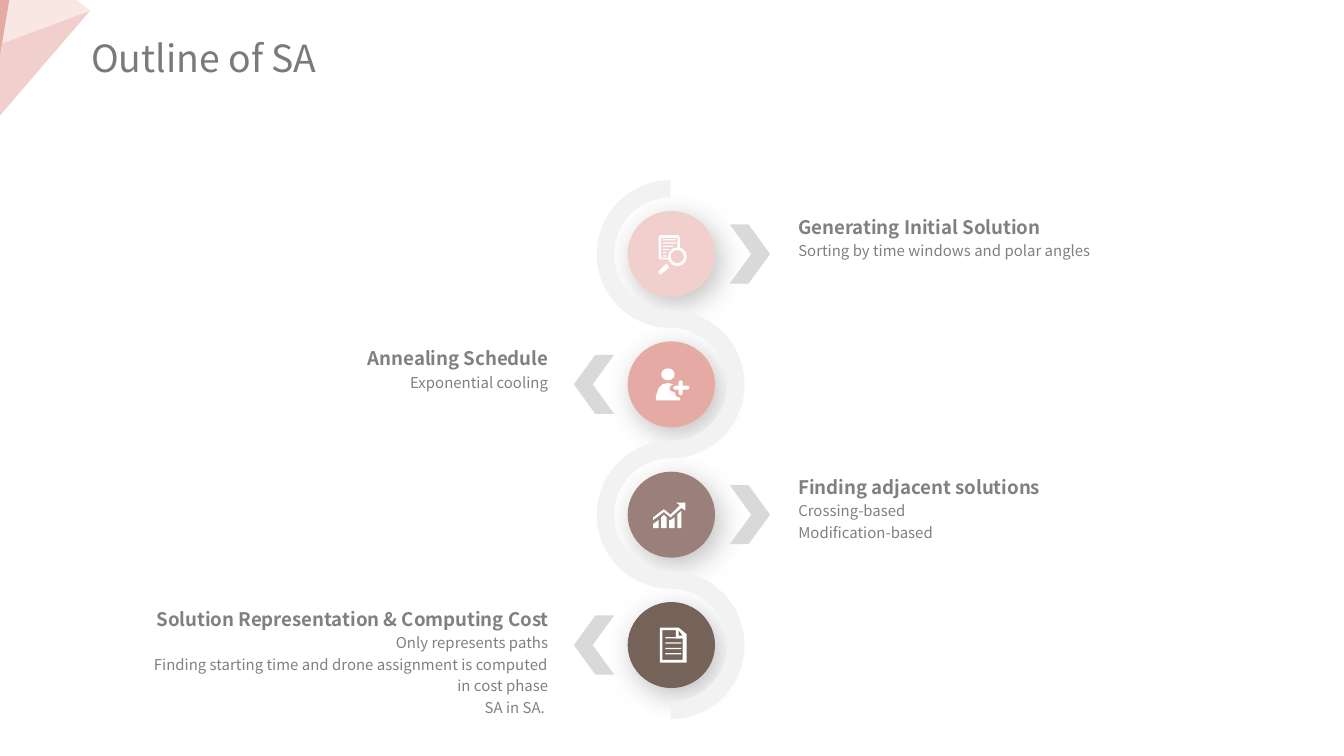
from math import cos, pi, sin

from lxml.etree import SubElement
from pptx import Presentation
from pptx.dml.color import RGBColor
from pptx.enum.shapes import MSO_SHAPE as Preset
from pptx.enum.text import MSO_AUTO_SIZE as AutoSize, PP_ALIGN as Align
from pptx.oxml.ns import qn
from pptx.util import Inches, Pt

FONT = "Noto Sans CJK SC"
WHITE = "FFFFFF"


def paint(shape, color):
    shape.fill.solid()
    shape.fill.fore_color.rgb = RGBColor.from_string(color)
    shape.line.fill.background()
    shape.shadow.inherit = False
    return shape


def draw_outline(shapes, color, *contours):
    """Draw one filled freeform made of closed contours given in inches."""
    contours = [[(Inches(x), Inches(y)) for x, y in contour] for contour in contours]
    builder = shapes.build_freeform(*contours[0][0])
    builder.add_line_segments(contours[0][1:])
    for contour in contours[1:]:
        builder.move_to(*contour[0])
        builder.add_line_segments(contour[1:])
    return paint(builder.convert_to_shape(), color)


# Slide in 16:9 format
presentation = Presentation()
presentation.slide_width = Inches(10)
presentation.slide_height = Inches(10 * 9 / 16)
slide = presentation.slides.add_slide(presentation.slide_layouts[6])
shapes = slide.shapes

# Steps, alternating right and left: circle colour, heading, details
steps = [
    ("F1CFCD", "Generating Initial Solution",
     ["Sorting by time windows and polar angles"]),
    ("E5AAA4", "Annealing Schedule", ["Exponential cooling"]),
    ("9B7F7B", "Finding adjacent solutions", ["Crossing-based", "Modification-based"]),
    ("756359", "Solution Representation & Computing Cost",
     ["Only represents paths",
      "Finding starting time and drone assignment is computed",
      "in cost phase", "SA in SA. "]),
]
centers = [1.89 + 0.97 * i for i in range(len(steps))]

# Circles with a soft shadow
for (color, heading, details), center in zip(steps, centers):
    circle = paint(shapes.add_shape(Preset.OVAL, Inches(4.67), Inches(center - 0.32),
                                    Inches(0.65), Inches(0.64)), color)
    effects = circle._element.spPr.find(qn("a:effectLst"))
    shadow = SubElement(effects, qn("a:outerShdw"), blurRad=str(Pt(15)),
                        dist=str(Pt(5)), dir=str(55 * 60000), algn="tl", rotWithShape="0")
    shadow_color = SubElement(shadow, qn("a:srgbClr"), val="333333")
    SubElement(shadow_color, qn("a:alpha"), val="30000")

# Winding band: both edges are half circles of alternating radius
edges = []
for radii in ((0.55, 0.42), (0.42, 0.55)):
    edge = []
    for i, center in enumerate(centers):
        side = 1 if i % 2 else -1
        for step in range(37):
            angle = pi * step / 36
            edge.append((4.99 + side * radii[i % 2] * sin(angle),
                         center - radii[i % 2] * cos(angle)))
    edges.append(edge)
draw_outline(shapes, "F2F2F2", edges[0] + edges[1][::-1])

# Chevrons and step texts
for i, ((color, heading, details), center) in enumerate(zip(steps, centers)):
    on_left = i % 2 == 1
    side = -1 if on_left else 1
    chevron = [(0.43, -0.22), (0.59, 0), (0.43, 0.22), (0.57, 0.22), (0.73, 0), (0.57, -0.22)]
    draw_outline(shapes, "D9D9D9", [(5 + side * x, center + y) for x, y in chevron])

    box = shapes.add_textbox(Inches(0.85 if on_left else 5.94),
                             Inches(center - (0.31 if on_left else 0.32)),
                             Inches(3.23), Inches(0.2 + 0.16 * len(details)))
    frame = box.text_frame
    frame.word_wrap = True
    frame.auto_size = AutoSize.SHAPE_TO_FIT_TEXT
    frame.margin_left = frame.margin_right = frame.margin_top = frame.margin_bottom = 0
    for j, line in enumerate([heading] + details):
        paragraph = frame.add_paragraph() if j else frame.paragraphs[0]
        paragraph.alignment = Align.RIGHT if on_left else Align.LEFT
        paragraph.line_spacing = 1.2
        run = paragraph.add_run()
        run.text = line
        run.font.name = FONT
        run.font.size = Pt(8 if j else 10)
        run.font.bold = j == 0
        run.font.color.rgb = RGBColor.from_string("808080")

# Icon 1: sheet with magnifier
icon = shapes.add_group_shape().shapes
draw_outline(icon, WHITE, [
    (4.98, 1.92), (4.92, 1.92), (4.92, 1.77), (5.04, 1.77), (5.04, 1.85), (5.06, 1.85),
    (5.06, 1.77), (5.05, 1.75), (4.91, 1.75), (4.9, 1.77), (4.9, 1.92), (4.91, 1.93),
    (4.98, 1.93)])
for i, width in enumerate([0.1, 0.1, 0.08, 0.05, 0.03, 0.03]):
    paint(icon.add_shape(Preset.RECTANGLE, Inches(4.93), Inches(1.78 + 0.12 * i / 5),
                         Inches(width), Inches(0.01)), WHITE)
lens = paint(icon.add_shape(Preset.DONUT, Inches(4.97), Inches(1.84),
                            Inches(0.14), Inches(0.14)), WHITE)
lens.adjustments[0] = 0.14
draw_outline(icon, WHITE, [(4.96, 1.96), (4.98, 1.99), (4.92, 2.04), (4.9, 2.04), (4.9, 2.02)])

# Icon 2: person with plus sign
icon = shapes.add_group_shape().shapes
paint(icon.add_shape(Preset.OVAL, Inches(4.92), Inches(2.74), Inches(0.1), Inches(0.09)), WHITE)
draw_outline(icon, WHITE, [
    (4.88, 2.98), (4.88, 2.95), (4.9, 2.89), (4.93, 2.86), (4.97, 2.85), (5.01, 2.86),
    (4.99, 2.87), (4.98, 2.89), (4.99, 2.91), (5.02, 2.92), (5.03, 2.95), (5.06, 2.96),
    (5.06, 2.98)])
for left, top, width, height in [(5.01, 2.87, 0.12, 0.03), (5.05, 2.83, 0.03, 0.11)]:
    bar = paint(icon.add_shape(Preset.ROUNDED_RECTANGLE, Inches(left), Inches(top),
                               Inches(width), Inches(height)), WHITE)
    bar.adjustments[0] = 0.5

# Icon 3: growth chart
icon = shapes.add_group_shape().shapes
draw_outline(
    icon, WHITE,
    [(4.86, 3.93), (4.9, 3.93), (4.9, 3.87), (4.86, 3.9)],
    [(4.92, 3.93), (4.96, 3.93), (4.96, 3.85), (4.94, 3.83), (4.92, 3.85)],
    [(4.98, 3.93), (5.02, 3.93), (5.02, 3.85), (4.99, 3.87), (4.98, 3.87)],
    [(5.04, 3.93), (5.07, 3.93), (5.07, 3.8), (5.04, 3.83)])
draw_outline(icon, WHITE, [
    (5.1, 3.74), (5.03, 3.74), (5.06, 3.76), (4.99, 3.83), (4.94, 3.79), (4.86, 3.85),
    (4.86, 3.87), (4.94, 3.81), (4.99, 3.85), (5.07, 3.78), (5.1, 3.8)])

# Icon 4: document
icon = shapes.add_group_shape().shapes
draw_outline(
    icon, WHITE,
    [(5.11, 4.72), (5.05, 4.67), (4.91, 4.67), (4.91, 4.93), (5.11, 4.93)],
    [(5.08, 4.73), (5.05, 4.73), (5.05, 4.69)],
    [(5.08, 4.91), (4.93, 4.91), (4.93, 4.69), (5.03, 4.69), (5.03, 4.75), (5.08, 4.75)])
for i in range(4):
    paint(icon.add_shape(Preset.RECTANGLE, Inches(4.95), Inches(4.74 + 0.04 * i),
                         Inches(0.12), Inches(0.01)), WHITE)

# Corner facets
corner = shapes.add_group_shape().shapes
draw_outline(corner, "F1CFCD", [(0.67, 0.08), (0.02, 0.32), (0, 0.42), (0, 0.86)])
draw_outline(corner, "F9E7E3", [(0.67, 0.08), (0.57, 0), (0.07, 0), (0.02, 0.32)])
draw_outline(corner, "E5AAA4", [(0.07, 0), (0, 0), (0, 0.42)])

# Title
title = shapes.add_textbox(Inches(0.58), Inches(0.21), Inches(1.88), Inches(0.44))
title.text_frame.word_wrap = False
title.text_frame.auto_size = AutoSize.SHAPE_TO_FIT_TEXT
run = title.text_frame.paragraphs[0].add_run()
run.text = "Outline of SA"
run.font.name = FONT
run.font.size = Pt(20)
run.font.color.rgb = RGBColor.from_string("7A7A7A")

presentation.save("out.pptx")
